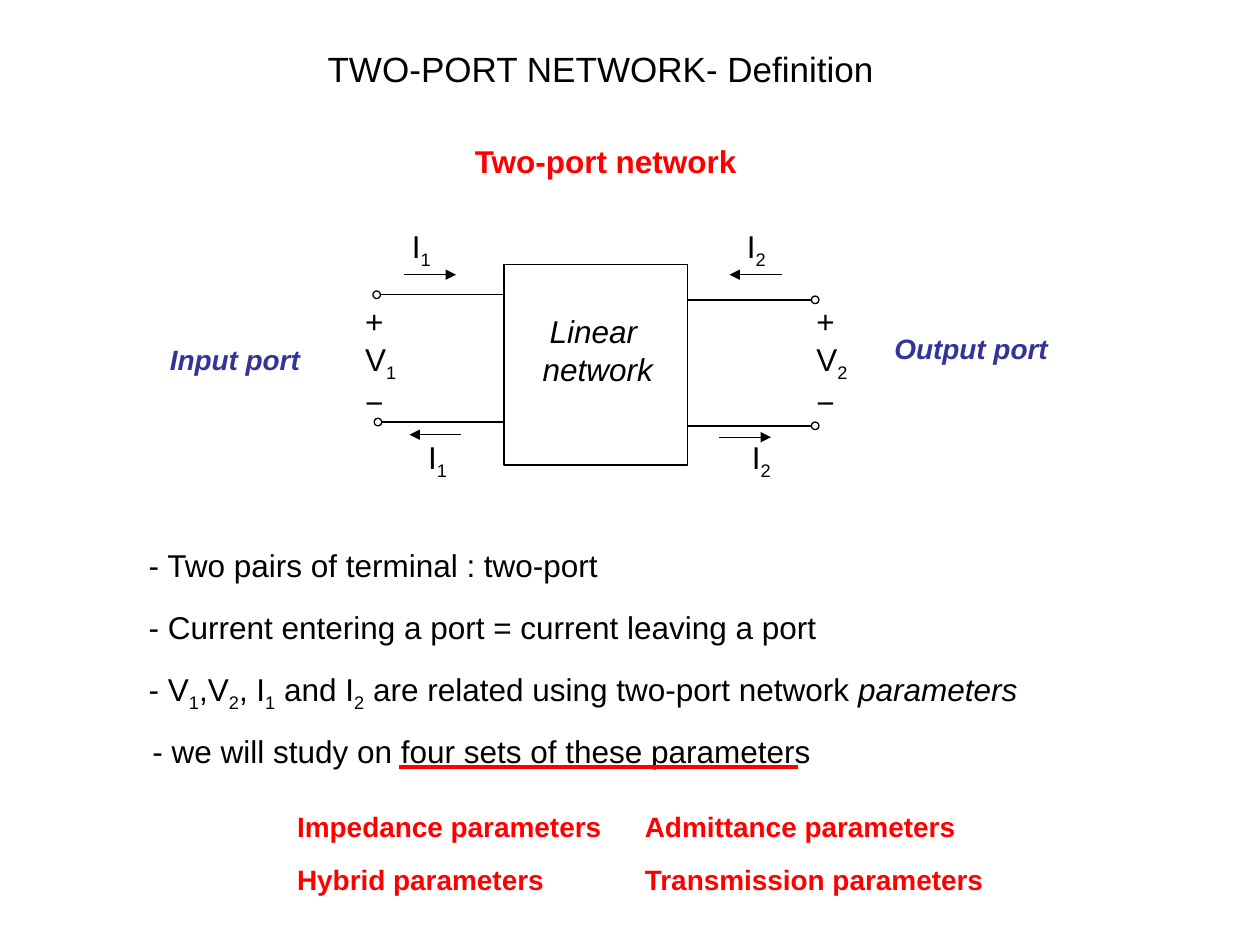
from dataclasses import dataclass

from lxml import etree
from pptx import Presentation
from pptx.dml.color import RGBColor
from pptx.enum.shapes import MSO_CONNECTOR, MSO_SHAPE
from pptx.enum.text import MSO_ANCHOR, MSO_AUTO_SIZE, PP_ALIGN
from pptx.oxml.ns import qn
from pptx.util import Inches, Pt

LEFT, CENTER = PP_ALIGN.LEFT, PP_ALIGN.CENTER
TOP = MSO_ANCHOR.TOP
NO_AUTOFIT = MSO_AUTO_SIZE.NONE
STRAIGHT = MSO_CONNECTOR.STRAIGHT
RECT, OVAL = MSO_SHAPE.RECTANGLE, MSO_SHAPE.OVAL
SUB, ITALIC = "_", "/"


@dataclass(frozen=True)
class Theme:
    font: str = "Arial"
    ink: RGBColor = RGBColor(0, 0, 0)
    accent: RGBColor = RGBColor(0xFF, 0, 0)
    port: RGBColor = RGBColor(0x33, 0x33, 0x99)
    title: int = 20
    text: int = 18
    label: int = 16
    thin: float = 0.75
    thick: float = 2.25


THEME = Theme()


def write_text(tf, lines, size=THEME.text, color=THEME.ink, bold=False,
               italic=False, align=LEFT, gap=0, sub_drop=0, wrap=False):
    tf.word_wrap = wrap
    tf.auto_size = NO_AUTOFIT
    tf.vertical_anchor = TOP
    for i, line in enumerate(lines):
        p = tf.paragraphs[0] if i == 0 else tf.add_paragraph()
        p.alignment = align
        p.space_before = Pt(0)
        p.space_after = Pt(gap - sub_drop if SUB in line else gap)
        for piece in line.split("|"):
            r = p.add_run()
            r.text = piece.lstrip(SUB + ITALIC)
            r.font.name, r.font.size = THEME.font, Pt(size)
            r.font.color.rgb = color
            r.font.bold = bold
            r.font.italic = italic or piece.startswith(ITALIC)
            if piece.startswith(SUB):
                r.font._element.set("baseline", "-25000")


def place(sp, x, y, w, h):
    sp.left, sp.top, sp.width, sp.height = map(Inches, (x, y, w, h))


def add_text(shapes, x, y, w, h, *lines, **fmt):
    sp = shapes.add_textbox(*map(Inches, (x, y, w, h)))
    write_text(sp.text_frame, lines, **fmt)


def add_outline(shapes, kind, x, y, w, h):
    sp = shapes.add_shape(kind, *map(Inches, (x, y, w, h)))
    sp.shadow.inherit = False
    sp.fill.background()
    sp.line.color.rgb = THEME.ink
    sp.line.width = Pt(THEME.thin)


def add_line(shapes, x1, x2, y, color=THEME.ink, width=THEME.thin, arrow=False):
    line = shapes.add_connector(STRAIGHT, *map(Inches, (x1, y, x2, y)))
    line.line.color.rgb = color
    line.line.width = Pt(width)
    if arrow:
        etree.SubElement(line.line._get_or_add_ln(), qn("a:tailEnd"), type="triangle")
    etree.SubElement(line._element.spPr, qn("a:effectLst"))


def add_terminal(shapes, box_edge, wire_end, y):
    d = 0.06
    add_line(shapes, box_edge, wire_end, y)
    x = wire_end if wire_end > box_edge else wire_end - d
    add_outline(shapes, OVAL, x, y - d / 2, d, d)


def add_current(shapes, name, label_x, label_y, x1, x2, y):
    add_line(shapes, x1, x2, y, arrow=True)
    add_text(shapes, label_x, label_y, 0.36, 0.44, name)


def add_network(s):
    shapes = s.shapes.add_group_shape().shapes
    left, right = 4, 5.46
    add_outline(shapes, RECT, left, 2.1, right - left, 1.59)
    add_text(shapes, 4.21, 2.43, 1.07, 0.7, "Linear ", "network",
             italic=True, align=CENTER)
    for edge, end, y in ((left, 3.02, 2.34), (left, 3.03, 3.35),
                         (right, 6.44, 2.38), (right, 6.44, 3.38)):
        add_terminal(shapes, edge, end, y)
    for x, name in ((2.8, "V|_1"), (6.38, "V|_2")):
        add_text(shapes, x, 2.35, 0.45, 1.04, "+", name, "−")
    for current in (("I|_1", 3.17, 1.75, 3.21, 3.62, 2.18),
                    ("I|_2", 5.83, 1.75, 6.21, 5.79, 2.18),
                    ("I|_1", 3.3, 3.43, 3.66, 3.25, 3.45),
                    ("I|_2", 5.87, 3.43, 5.71, 6.12, 3.47)):
        add_current(shapes, *current)


def add_title(s):
    sp = s.shapes.title
    place(sp, 2.5, 0.33, 4.54, 0.44)
    write_text(sp.text_frame, ["TWO-PORT NETWORK- Definition"], size=THEME.title)


def add_points(s):
    sp = s.placeholders[1]
    place(sp, 1.08, 4.28, 7.14, 1.89)
    write_text(sp.text_frame, [
        "- Two pairs of terminal : two-port",
        "- Current entering a port = current leaving a port",
        "- V|_1|,V|_2|, I|_1| and I|_2| are related using two-port network |/parameters",
        "- we will study on four sets of these parameters",
    ], gap=14, sub_drop=3, wrap=True)
    for p in sp.text_frame.paragraphs:
        pPr = p._p.get_or_add_pPr()
        pPr.set("marL", "0")
        pPr.set("indent", "0")
        etree.SubElement(pPr, qn("a:buNone"))
    pPr.set("marL", str(Inches(0.03)))
    add_line(s.shapes, 3.17, 6.33, 6.09, color=THEME.accent, width=THEME.thick)


def add_labels(s):
    add_text(s.shapes, 3.67, 1.08, 2.29, 0.4, "Two-port network",
             color=THEME.accent, bold=True)
    for x, y, w, text in ((1.25, 2.67, 1.23, "Input port"),
                          (7, 2.58, 1.42, "Output port")):
        add_text(s.shapes, x, y, w, 0.37, text, size=THEME.label,
                 color=THEME.port, bold=True, italic=True)
    for x, y, w, text in ((2.26, 6.38, 2.61, "Impedance parameters"),
                          (2.26, 6.8, 2.16, "Hybrid parameters"),
                          (5.02, 6.38, 2.66, "Admittance parameters"),
                          (5.02, 6.8, 2.9, "Transmission parameters")):
        add_text(s.shapes, x, y, w, 0.37, text, size=THEME.label,
                 color=THEME.accent, bold=True)


def main():
    prs = Presentation()
    prs.slide_width, prs.slide_height = Inches(10), Inches(7.5)
    s = prs.slides.add_slide(prs.slide_layouts[1])
    add_title(s)
    add_network(s)
    add_points(s)
    add_labels(s)
    prs.save("out.pptx")


if __name__ == "__main__":
    main()
